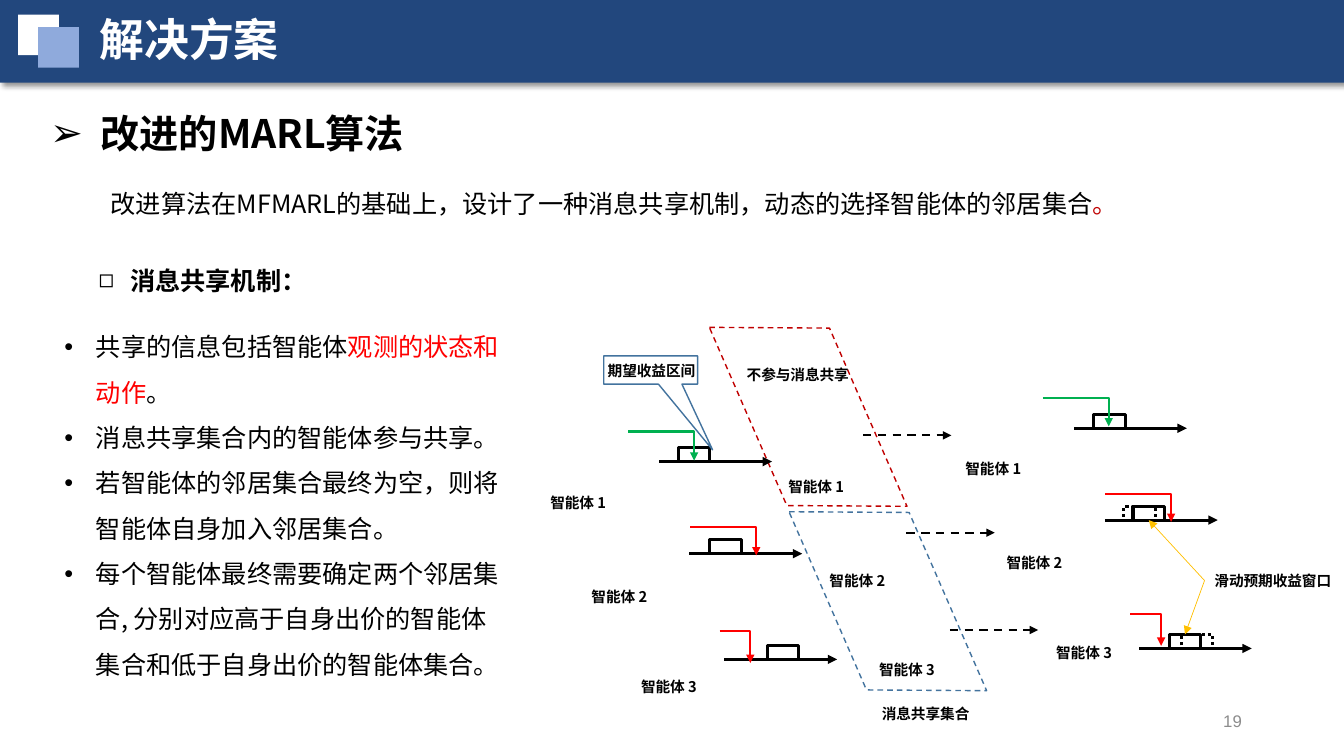
from lxml import etree
from pptx import Presentation
from pptx.dml.color import RGBColor
from pptx.enum import dml, shapes, text
from pptx.oxml.ns import qn
from pptx.util import Pt


class Theme:
    font, number_font = "Noto Sans CJK SC", "Arial"
    black, white, grey = "000000", "FFFFFF", "8C8C8C"
    navy, pale_blue, outline_blue = "22477D", "8FAADC", "43739E"
    red, dark_red, green, amber = "FF0000", "C00000", "00B050", "FFC000"
    title, heading, body, page, label = 32, 28, 18, 12, 10.5
    thick, medium, thin, hair = 2.25, 1.5, 1, 0.5


def write(content, left, top, width, height, size=Theme.label, bold=False,
          color=Theme.black, accent=None, accent_color=None, font=Theme.font,
          align=None, spacing=None, bullet=None, indent=0, wrap=True, fit=True):
    """Add a text box; each line of content is a paragraph."""
    box = slide.shapes.add_textbox(Pt(left), Pt(top), Pt(width), Pt(height))
    frame = box.text_frame
    frame.word_wrap = wrap
    if fit:
        frame.auto_size = text.MSO_AUTO_SIZE.SHAPE_TO_FIT_TEXT
    else:
        frame.vertical_anchor = text.MSO_ANCHOR.MIDDLE
    for index, words in enumerate(content.split("\n")):
        paragraph = frame.add_paragraph() if index else frame.paragraphs[0]
        paragraph.alignment = align
        paragraph.line_spacing = spacing
        if bullet:
            props = paragraph._p.get_or_add_pPr()
            props.set("marL", str(Pt(indent)))
            props.set("indent", str(-Pt(indent)))
            etree.SubElement(props, qn("a:buFont"), typeface=Theme.number_font)
            etree.SubElement(props, qn("a:buChar"), char=bullet)
        before, marked, after = words.partition(accent) if accent else (words, "", "")
        for part, tint in ((before, color), (marked, accent_color), (after, color)):
            if part:
                run = paragraph.add_run()
                run.text = part
                run.font.size, run.font.bold, run.font.name = Pt(size), bold, font
                run.font.color.rgb = RGBColor.from_string(tint)
                etree.SubElement(run._r.get_or_add_rPr(), qn("a:ea"), typeface=font)
    return box


def style(item, fill=None, line=None, weight=Theme.thin, dash=None, arrow=False):
    """Format a shape or connector, without a shadow."""
    if fill:
        item.fill.solid()
        item.fill.fore_color.rgb = RGBColor.from_string(fill)
    elif hasattr(item, "fill"):
        item.fill.background()
    if line:
        item.line.color.rgb = RGBColor.from_string(line)
        item.line.width = Pt(weight)
        if dash:
            item.line.dash_style = dash
    else:
        item.line.fill.background()
    props = item.element.spPr
    if arrow:
        etree.SubElement(props.find(qn("a:ln")), qn("a:tailEnd"), type="triangle")
    return etree.SubElement(props, qn("a:effectLst"))


deck = Presentation()
deck.slide_width, deck.slide_height = Pt(960), Pt(540)
slide = deck.slides.add_slide(deck.slide_layouts[6])
add_shape, add_connector = slide.shapes.add_shape, slide.shapes.add_connector
RECT = shapes.MSO_SHAPE.RECTANGLE
STRAIGHT, ELBOW = shapes.MSO_CONNECTOR.STRAIGHT, shapes.MSO_CONNECTOR.ELBOW
DASH, DOTS = dml.MSO_LINE.DASH, dml.MSO_LINE.ROUND_DOT

# Banner with its shadow, and the two squares
banner = add_shape(RECT, 0, 0, Pt(960), Pt(59))
effects = style(banner, Theme.navy)
shadow = etree.SubElement(effects, qn("a:outerShdw"), blurRad=str(Pt(4)),
                          dist=str(Pt(3)), dir="2700000", algn="tl", rotWithShape="0")
shadow_color = etree.SubElement(shadow, qn("a:srgbClr"), val=Theme.black)
etree.SubElement(shadow_color, qn("a:alpha"), val="40000")
for left, top, color in ((13, 10.5, Theme.white), (27.3, 19.3, Theme.pale_blue)):
    style(add_shape(RECT, Pt(left), Pt(top), Pt(29), Pt(29)), color)

# Headings and introduction
write("解决方案", 64, 5, 561, 46, size=Theme.title, bold=True, color=Theme.white)
write("改进算法在MFMARL的基础上，设计了一种消息共享机制，动态的选择智能体的邻居集合。",
      72, 120.3, 754, 36, size=Theme.body, accent="。", accent_color=Theme.dark_red,
      align=text.PP_ALIGN.JUSTIFY, spacing=1.5)
write("改进的MARL算法", 28.8, 57.6, 874, 52, size=Theme.heading, bold=True,
      spacing=1.5, bullet="➢", indent=36)
write("消息共享机制：", 63.4, 175, 164, 36, size=Theme.body, bold=True,
      spacing=1.5, bullet="◻", indent=22.5)
write("19", 678.2, 500.4, 216, 28.8, size=Theme.page, color=Theme.grey,
      font=Theme.number_font, align=text.PP_ALIGN.RIGHT, fit=False)

# Sharing set (blue) and the zone outside it (red)
for left, top, color in ((547.4, 390.2, Theme.outline_blue), (490.5, 258.5, Theme.dark_red)):
    zone = add_shape(shapes.MSO_SHAPE.FLOWCHART_DATA, Pt(left), Pt(top), Pt(173.5), Pt(78.5))
    zone.rotation = 66.5
    style(zone, line=color, dash=DASH)

# Agent names: three columns, each shifted from the first
for shift_x, shift_y in ((0, 0), (170, -11.5), (296.5, -24)):
    for agent, (left, top) in enumerate(((386, 349.2), (415.4, 416.2), (450.8, 480.3)), 1):
        write(f"智能体 {agent}", left + shift_x, top + shift_y, 65, 20.5, bold=True)

# Agent tracks: axis start, bid arrow, its colour, solid window, earlier window
tracks = (
    (471, 329.7, 448.8, 308.2, 495.8, 329, Theme.green, 484.6, None),
    (492.5, 395.5, 493, 376.6, 540.2, 396.7, Theme.red, 506.9, None),
    (517.5, 471, 514, 450.7, 536, 473.6, Theme.red, 548, None),
    (767.3, 305.9, 745, 284.4, 792, 304.6, Theme.green, 781.2, None),
    (789.3, 371.5, 789.3, 352.6, 836.5, 372.8, Theme.red, 809.3, 802.8),
    (813.6, 463.2, 807.3, 438.3, 829.4, 461.3, Theme.red, 835.2, 843.8),
)
windows = []
for axis_x, axis_y, bid_x, bid_y, tip_x, tip_y, color, window_x, earlier_x in tracks:
    axis = add_connector(STRAIGHT, Pt(axis_x), Pt(axis_y), Pt(axis_x + 80.5), Pt(axis_y))
    style(axis, line=Theme.black, weight=Theme.thick, arrow=True)
    for left, dash in ((earlier_x, DOTS), (window_x, None)):
        if left:
            window = add_shape(RECT, Pt(left), Pt(axis_y - 10), Pt(22.5), Pt(10))
            style(window, line=Theme.black, weight=Theme.thick, dash=dash)
    windows.append(window)
    bid = add_connector(ELBOW, Pt(bid_x), Pt(bid_y), Pt(tip_x), Pt(tip_y))
    bid.element.spPr.find(qn("a:prstGeom")).set("prst", "bentConnector2")
    style(bid, line=color, weight=Theme.medium, arrow=True)

# Dashed arrows from the zones to the updated tracks
for step in range(3):
    left, top = 616.5 + 31 * step, 311 + 69.5 * step
    update = add_connector(STRAIGHT, Pt(left), Pt(top), Pt(left + 63), Pt(top))
    style(update, line=Theme.black, weight=Theme.medium, dash=DASH, arrow=True)

# Captions and callout
write("期望收益区间", 427, 254.9, 83, 20.2, bold=True)
callout = add_shape(shapes.MSO_SHAPE.RECTANGULAR_CALLOUT, Pt(431.3), Pt(254.2), Pt(67), Pt(20.2))
callout.adjustments[0], callout.adjustments[1] = 0.66, 2.82
style(callout, line=Theme.outline_blue)
write("消息共享集合", 622.8, 499.7, 82, 20.2, bold=True)
write("不参与消息共享", 526.3, 257.8, 91.5, 20.2, bold=True)

# Sliding window caption, pointing at the moved windows
sliding = write("滑动预期收益窗口", 860.4, 404.6, 99.4, 20.2, bold=True, wrap=False)
for window, side in ((windows[5], 0), (windows[4], 2)):
    pointer = add_connector(STRAIGHT, 0, 0, 0, 0)
    pointer.begin_connect(sliding, 1)
    pointer.end_connect(window, side)
    style(pointer, line=Theme.amber, weight=Theme.hair, arrow=True)

# Mechanism points
write("共享的信息包括智能体观测的状态和动作。\n"
      "消息共享集合内的智能体参与共享。\n"
      "若智能体的邻居集合最终为空，则将智能体自身加入邻居集合。\n"
      "每个智能体最终需要确定两个邻居集合, 分别对应高于自身出价的智能体集合和低于自身出价的智能体集合。",
      38.9, 222.5, 333.4, 265, size=Theme.body, accent="观测的状态和动作",
      accent_color=Theme.red, spacing=1.5, bullet="•", indent=22.5)

deck.save("out.pptx")
